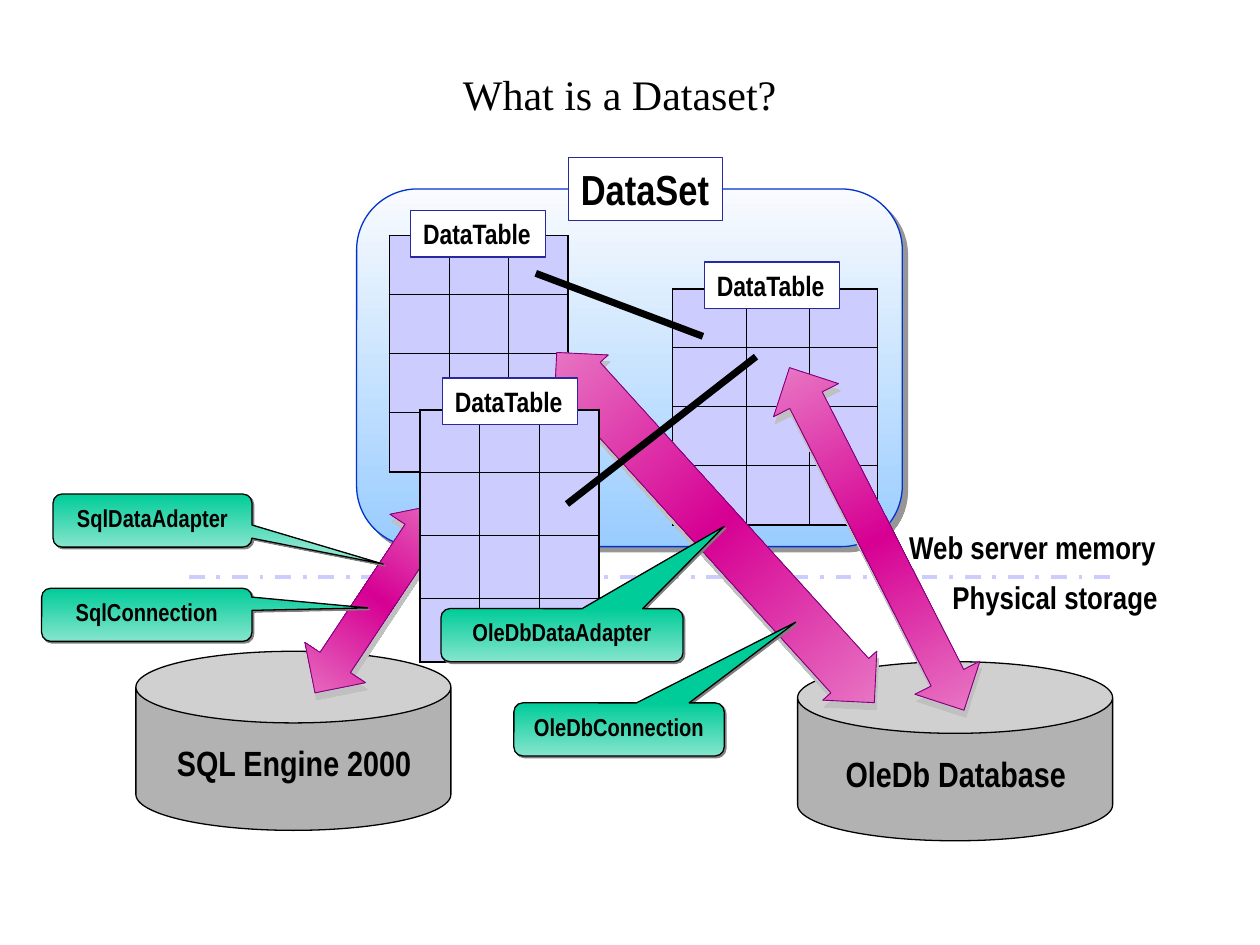
from dataclasses import dataclass

from lxml import etree
from pptx import Presentation
from pptx import util as u
from pptx.dml.color import RGBColor
from pptx.enum import dml, shapes, text
from pptx.oxml import parse_xml
from pptx.oxml.ns import nsdecls, qn

Cm, Pt = u.Cm, u.Pt
SHAPE = shapes.MSO_SHAPE


@dataclass(frozen=True)
class Theme:
    black: str = "000000"
    white: str = "FFFFFF"
    cell: str = "CCCCFF"
    can: str = "B2B2B2"
    panel_line: str = "0033CC"
    tag_line: str = "2828A0"
    arrow_line: str = "800080"
    panel: tuple = ("F9FBFE", "99CCFF")
    arrow: tuple = ("EA85CA", "D60093", "EA85CA")
    callout: tuple = ("00CC99", "85E5CD")
    panel_shadow: tuple = ("969696", 4.2, 45)
    arrow_shadow: tuple = ("C0C0C0", 4.1, 76)
    callout_shadow: tuple = ("808080", 1.4, 45)
    font: str = "Arial Narrow"
    title_font: str = "Times New Roman"
    title: int = 24
    heading: int = 24
    store: int = 20
    zone: int = 18
    tag: int = 16
    note: int = 14


T = Theme()


def rgb(color):
    return RGBColor.from_string(color)


def write(sp, words, size, align=text.PP_ALIGN.LEFT, anchor=text.MSO_ANCHOR.TOP,
          wrap=True, font=T.font, bold=True):
    tf = sp.text_frame
    tf.word_wrap = wrap
    tf.vertical_anchor = anchor
    tf.text = words
    p = tf.paragraphs[0]
    p.alignment = align
    p.font.name, p.font.size, p.font.bold = font, Pt(size), bold
    p.font.color.rgb = rgb(T.black)


def set_gradient(sp, colors):
    step = 100000 // (len(colors) - 1)
    stops = "".join(f'<a:gs pos="{i * step}"><a:srgbClr val="{c}"/></a:gs>'
                    for i, c in enumerate(colors))
    grad = parse_xml(f'<a:gradFill {nsdecls("a")} rotWithShape="1"><a:gsLst>{stops}</a:gsLst>'
                     '<a:lin ang="5400000" scaled="0"/></a:gradFill>')
    sp._element.spPr.find(qn("a:prstGeom")).addnext(grad)


def set_shadow(sp, color, distance, angle):
    effects = sp._element.spPr.find(qn("a:effectLst"))
    effects.append(parse_xml(
        f'<a:outerShdw {nsdecls("a")} blurRad="0" dist="{Pt(distance)}" dir="{angle * 60000}" '
        f'algn="ctr" rotWithShape="0"><a:srgbClr val="{color}"/></a:outerShdw>'))


def add_box(s, kind, at, fill, line, width=0.75, adj=(), shadow=None):
    sp = s.shapes.add_shape(kind, *map(Cm, at))
    for i, value in enumerate(adj):
        sp.adjustments[i] = value
    sp.line.color.rgb = rgb(line)
    sp.line.width = Pt(width)
    sp.shadow.inherit = False
    if isinstance(fill, tuple):
        set_gradient(sp, fill)
    else:
        sp.fill.solid()
        sp.fill.fore_color.rgb = rgb(fill)
    if shadow:
        set_shadow(sp, *shadow)
    return sp


def add_line(s, start, end, color, width, dash=None):
    c = s.shapes.add_connector(shapes.MSO_CONNECTOR.STRAIGHT, *map(Cm, start + end))
    c.line.color.rgb = rgb(color)
    c.line.width = Pt(width)
    if dash:
        c.line.dash_style = dash
    etree.SubElement(c._element.spPr, qn("a:effectLst"))


def add_label(s, at, words, size, **style):
    write(s.shapes.add_textbox(*map(Cm, at)), words, size, **style)


def add_store(s, left, top, words):
    add_box(s, SHAPE.CAN, (left, top, 6.35, 3.61), T.can, T.black, adj=(0.4,))
    add_label(s, (left - 0.2, top + 1.69, 6.78, 1.12), words, T.store,
              align=text.PP_ALIGN.CENTER, anchor=text.MSO_ANCHOR.MIDDLE)


def add_tag(s, at, words, size=T.tag):
    write(add_box(s, SHAPE.RECTANGLE, at, T.white, T.tag_line), words, size, wrap=False)


def add_table_tag(s, left, top):
    add_tag(s, (left, top, 2.72, 0.94), "DataTable")


def add_arrow(s, left, top, height, angle, shaft, head):
    sp = add_box(s, SHAPE.UP_DOWN_ARROW, (left, top, 1.47, height), T.arrow, T.arrow_line,
                 0.5, (head, shaft), T.arrow_shadow)
    sp.rotation = angle


def add_callout(s, left, top, width, words, tip):
    sp = add_box(s, SHAPE.ROUNDED_RECTANGULAR_CALLOUT, (left, top, width, 1.07), T.callout,
                 T.black, adj=(*tip, 0.17), shadow=T.callout_shadow)
    write(sp, words, T.note, align=text.PP_ALIGN.CENTER)


def set_borders(cell, outer):
    tc_pr = cell._tc.get_or_add_tcPr()
    for side in "LRTB":
        width = Pt(1.08 if side in outer else 0.45)
        tc_pr.append(parse_xml(
            f'<a:ln{side} {nsdecls("a")} w="{width}"><a:solidFill><a:srgbClr val="{T.black}"/>'
            f'</a:solidFill></a:ln{side}>'))


def add_grid(s, left, top, columns, row_height, rows=4):
    tbl = s.shapes.add_table(rows, len(columns), Cm(left), Cm(top), Cm(sum(columns)),
                             Cm(rows * row_height)).table
    tbl.first_row = tbl.horz_banding = False
    for column, width in zip(tbl.columns, columns):
        column.width = Cm(width)
    last = len(columns) - 1
    for r, row in enumerate(tbl.rows):
        row.height = Cm(row_height)
        for c, cell in enumerate(row.cells):
            edges = {"L": c == 0, "R": c == last, "T": r == 0, "B": r == rows - 1}
            set_borders(cell, [side for side, on in edges.items() if on])
            cell.fill.solid()
            cell.fill.fore_color.rgb = rgb(T.cell)
            cell.text_frame.paragraphs[0].font.size = Pt(T.note)


def add_title(s, words):
    sp = s.shapes.title
    sp.left, sp.top, sp.width, sp.height = map(Cm, (1.7, 0.84, 21.59, 2.11))
    write(sp, words, T.title, align=text.PP_ALIGN.CENTER, anchor=text.MSO_ANCHOR.MIDDLE,
          font=T.title_font, bold=False)


def main():
    prs = Presentation()
    prs.slide_width, prs.slide_height = Cm(25.4), Cm(19.05)
    s = prs.slides.add_slide(prs.slide_layouts[5])
    add_title(s, "What is a Dataset?")

    add_line(s, (3.81, 11.63), (22.43, 11.63), T.cell, 2.25, dml.MSO_LINE.DASH_DOT)
    add_store(s, 2.74, 13.13, "SQL Engine 2000")
    add_box(s, SHAPE.ROUNDED_RECTANGLE, (7.19, 3.81, 11, 7.21), T.panel, T.panel_line,
            adj=(0.17,), shadow=T.panel_shadow)
    add_grid(s, 13.56, 5.82, (1.48, 1.27, 1.38), 1.19)
    add_grid(s, 7.85, 4.75, (1.2,) * 3, 1.19)
    add_line(s, (10.8, 5.51), (14.17, 6.78), T.black, 4)
    add_tag(s, (11.46, 3.18, 3.1, 1.27), "DataSet", T.heading)
    add_table_tag(s, 14.2, 5.28)
    add_table_tag(s, 8.28, 4.24)
    add_label(s, (18.95, 11.53, 4.65, 1.02), "Physical storage", T.zone, wrap=False)

    add_store(s, 16.08, 13.34, "OleDb Database")
    add_arrow(s, 16.94, 6.99, 7.75, 333, shaft=0.5, head=1.04)
    add_arrow(s, 6.88, 9.78, 4.57, 33.6, shaft=0.5, head=0.61)
    add_callout(s, 1.07, 9.96, 4.01, "SqlDataAdapter", (1.16, 0.82))
    add_arrow(s, 13.69, 5.87, 9.53, 317.8, shaft=0.7, head=1.06)
    add_callout(s, 0.84, 11.86, 4.24, "SqlConnection", (1.05, -0.13))
    add_grid(s, 8.47, 8.26, (1.2,) * 3, 1.27)
    add_line(s, (11.43, 10.16), (15.24, 7.19), T.black, 4)
    add_table_tag(s, 8.92, 7.62)
    add_label(s, (18.08, 10.52, 5.49, 1.02), "Web server memory", T.zone, wrap=False)
    add_callout(s, 8.89, 12.27, 4.88, "OleDbDataAdapter", (0.67, -2.05))
    add_callout(s, 10.36, 14.17, 4.24, "OleDbConnection", (0.84, -2.02))
    prs.save("out.pptx")


if __name__ == "__main__":
    main()
